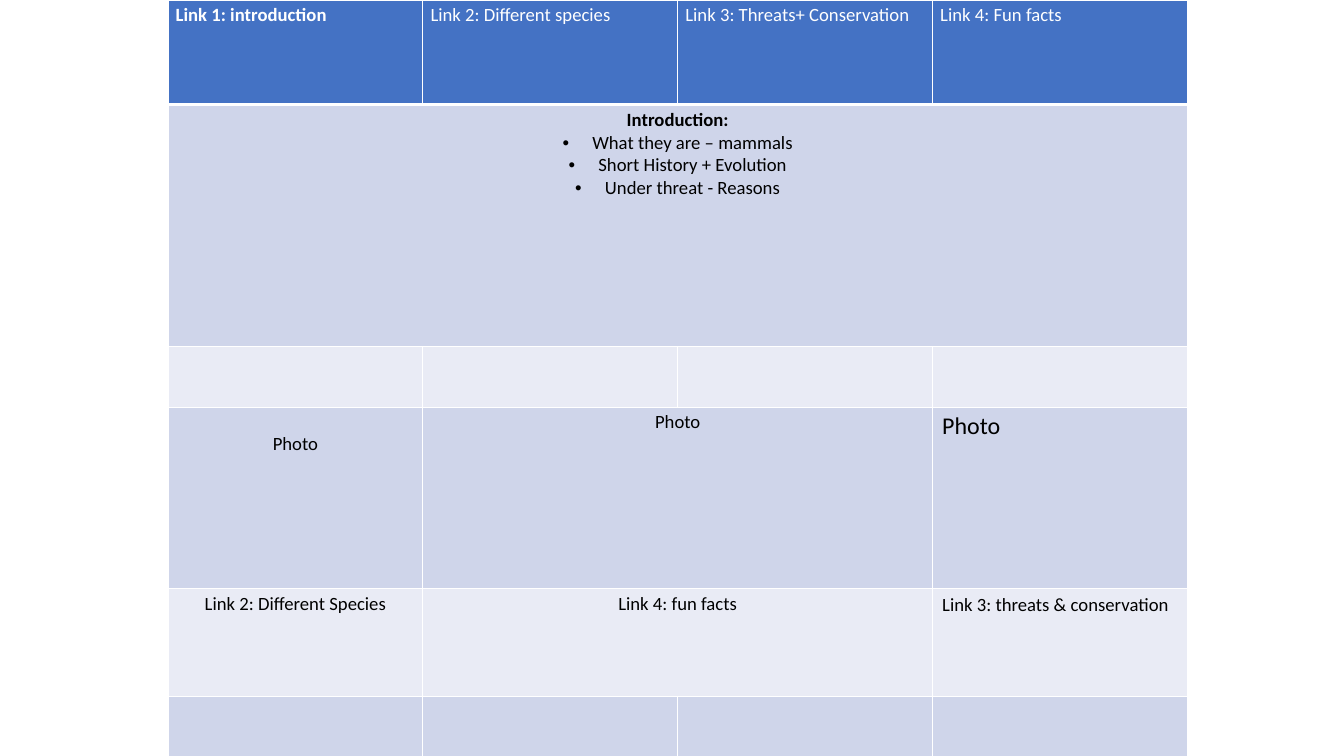
from dataclasses import dataclass

from lxml import etree
from pptx import Presentation
from pptx.dml.color import RGBColor
from pptx.enum.text import PP_ALIGN
from pptx.oxml.ns import qn
from pptx.util import Inches, Pt

LEFT = PP_ALIGN.LEFT
CENTER = PP_ALIGN.CENTER


@dataclass(frozen=True)
class Theme:
    """Colours, font and type sizes of the slide."""
    header: str = "4472C4"
    band_dark: str = "CFD5EA"
    band_light: str = "E9EBF5"
    white: str = "FFFFFF"
    black: str = "000000"
    font: str = "Calibri"
    body: int = 14
    large: int = 18
    rule: int = 1
    header_rule: int = 3


THEME = Theme()
ROW_HEIGHTS = [1.09, 2.52, 0.63, 1.89, 1.12, 0.63]
COLUMN_COUNT = 4
HEADINGS = ["Link 1: introduction", "Link 2: Different species",
            "Link 3: Threats+ Conservation", "Link 4: Fun facts"]
TOPICS = ["What they are – mammals", "Short History + Evolution",
          "Under threat - Reasons"]
MERGES = [(1, 0, 3), (3, 1, 2), (4, 1, 2)]


def add_border(cell, side, width):
    """Draw one white edge of a cell."""
    line = etree.SubElement(cell._tc.get_or_add_tcPr(), qn(f"a:ln{side}"),
                            w=str(Pt(width)))
    fill = etree.SubElement(line, qn("a:solidFill"))
    etree.SubElement(fill, qn("a:srgbClr"), val=THEME.white)


def style_cell(cell, row):
    """Give a cell its borders and the fill of its row."""
    for side in "LRTB":
        under_header = (row, side) in [(0, "B"), (1, "T")]
        add_border(cell, side, THEME.header_rule if under_header else THEME.rule)
    band = THEME.band_dark if row % 2 else THEME.band_light
    cell.fill.solid()
    cell.fill.fore_color.rgb = RGBColor.from_string(band if row else THEME.header)


def set_margins(cell, side=0.08, top=0.04, bottom=0.04):
    """Set the inner margins of a cell in inches."""
    cell.margin_left = cell.margin_right = Inches(side)
    cell.margin_top = Inches(top)
    cell.margin_bottom = Inches(bottom)


def format_para(para, size=THEME.body, color=THEME.black, bold=False, align=LEFT):
    """Set the font and alignment of a paragraph."""
    para.alignment = align
    para.font.name = THEME.font
    para.font.size = Pt(size)
    para.font.bold = bold
    para.font.color.rgb = RGBColor.from_string(color)


def add_bullet(para):
    """Put a round bullet with a hanging indent on a paragraph."""
    properties = para._p.get_or_add_pPr()
    properties.set("marL", str(Inches(0.31)))
    properties.set("indent", str(Inches(-0.31)))
    font = etree.Element(qn("a:buFont"), typeface="Arial")
    bullet = etree.Element(qn("a:buChar"), char="•")
    properties.insert(0, font)
    properties.insert(1, bullet)


def write_cell(cell, text, **style):
    """Write one formatted paragraph into a cell."""
    para = cell.text_frame.paragraphs[0]
    para.text = text
    format_para(para, **style)


def add_grid(slide):
    """Add the page plan table with its merged cells and banded rows."""
    frame = slide.shapes.add_table(len(ROW_HEIGHTS), COLUMN_COUNT, Inches(1.75),
                                   Inches(0), Inches(10.62), Inches(7.87))
    table = frame.table
    for index, height in enumerate(ROW_HEIGHTS):
        table.rows[index].height = Inches(height)
        for cell in table.rows[index].cells:
            style_cell(cell, index)
    for row, first, last in MERGES:
        table.cell(row, first).merge(table.cell(row, last))
    return table


def fill_header(table):
    """Write the link names across the top row."""
    for column, heading in enumerate(HEADINGS):
        cell = table.cell(0, column)
        set_margins(cell)
        write_cell(cell, heading, color=THEME.white, bold=column == 0)


def fill_introduction(table):
    """Write the introduction and its bulleted topics."""
    cell = table.cell(1, 0)
    set_margins(cell)
    write_cell(cell, "Introduction:", bold=True, align=CENTER)
    for topic in TOPICS:
        para = cell.text_frame.add_paragraph()
        para.text = topic
        format_para(para, align=CENTER)
        add_bullet(para)


def fill_photos(table):
    """Write the photo places and the links below them."""
    captions = {0: "Link 2: Different Species", 1: "Link 4: fun facts"}
    for column, caption in captions.items():
        photo, link = table.cell(3, column), table.cell(4, column)
        set_margins(photo, top=0.04 if column else 0.27)
        set_margins(link)
        write_cell(photo, "Photo", align=CENTER)
        write_cell(link, caption, align=CENTER)
    write_cell(table.cell(3, 3), "Photo", size=THEME.large)
    write_cell(table.cell(4, 3), "Link 3: threats & conservation")


def main():
    """Build the deck and save it."""
    deck = Presentation()
    deck.slide_width, deck.slide_height = Inches(14), Inches(7.87)
    slide = deck.slides.add_slide(deck.slide_layouts[6])
    table = add_grid(slide)
    fill_header(table)
    fill_introduction(table)
    fill_photos(table)
    deck.save("out.pptx")


if __name__ == "__main__":
    main()
